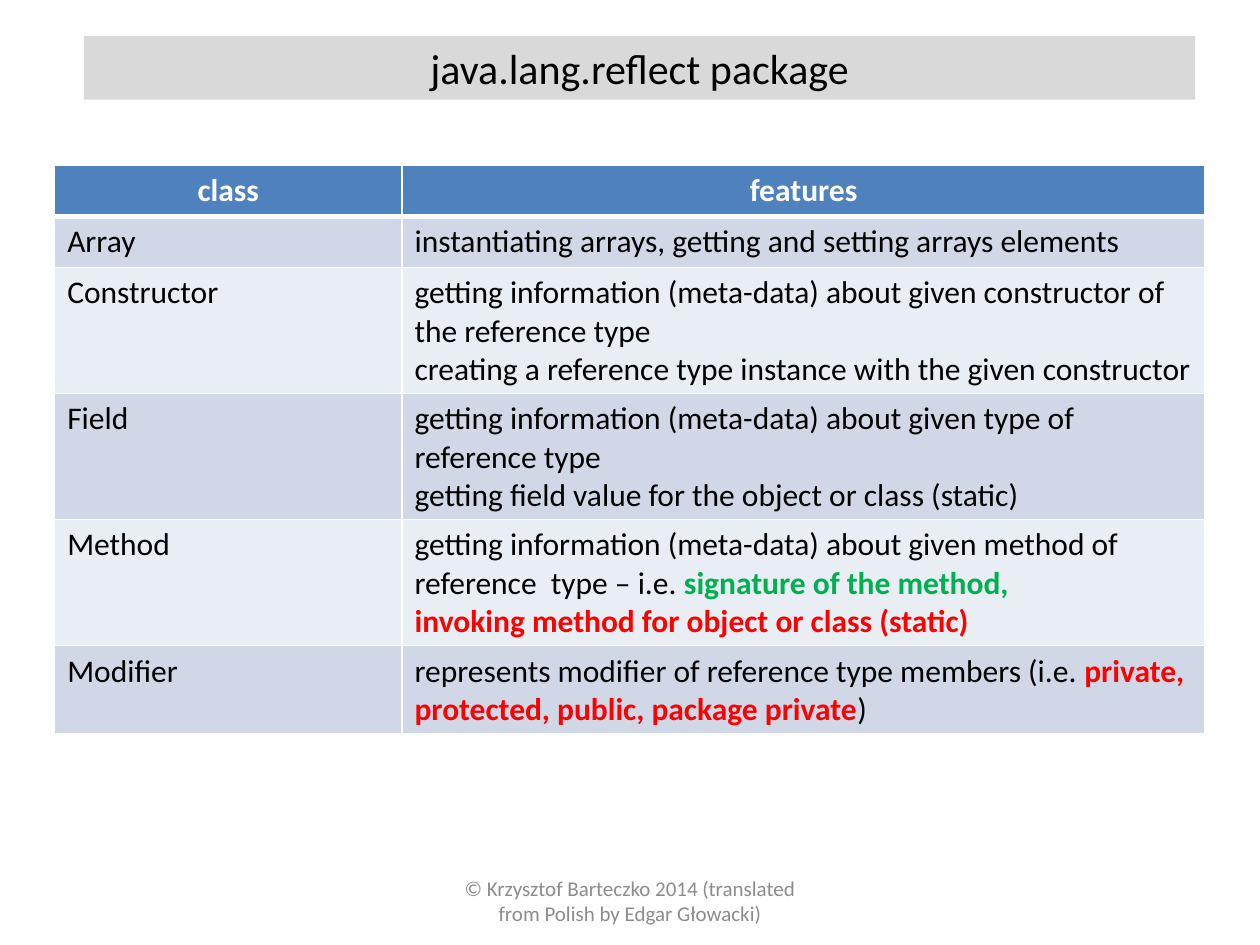
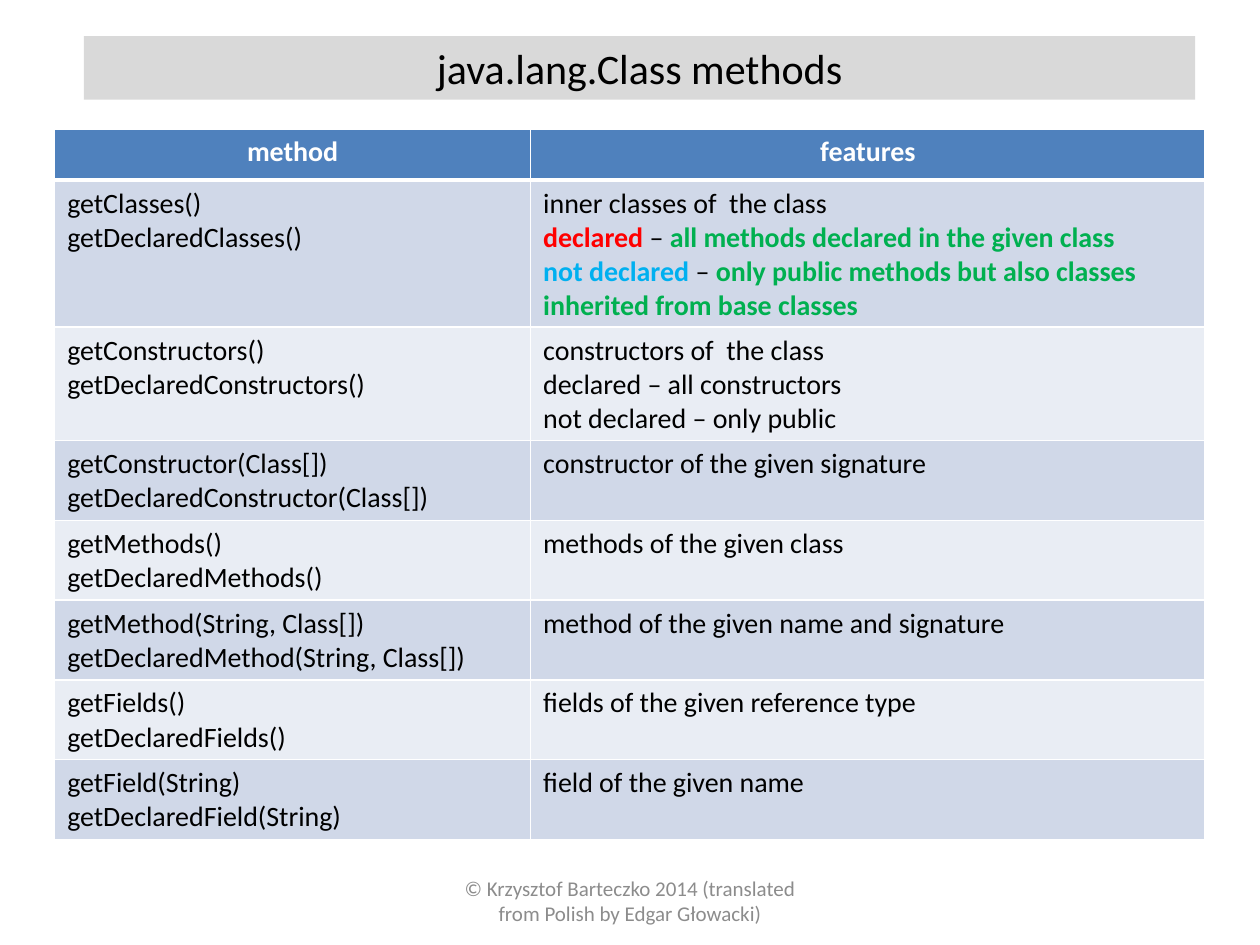
from pptx import Presentation
from pptx.util import Pt
from pptx.dml.color import RGBColor
from pptx.enum.shapes import MSO_SHAPE
from pptx.enum.text import MSO_ANCHOR, MSO_AUTO_SIZE, PP_ALIGN
from lxml.etree import SubElement

NS = "{http://schemas.openxmlformats.org/drawingml/2006/main}"
RED, GREEN, SKY = "FF0000", "00B050", "00B0F0"
BLACK, WHITE = "000000", "FFFFFF"


def color(code):
    return RGBColor.from_string(code)


class Deck:
    font = "Calibri"
    head = "4F81BD"
    bands = ("D0D8E8", "E9EDF4")
    note = "© Krzysztof Barteczko 2014 (translated from Polish by Edgar Głowacki)"

    def __init__(self):
        self.show = Presentation()
        self.show.slide_width, self.show.slide_height = Pt(720), Pt(540)

    def page(self, title):
        self.slide = self.show.slides.add_slide(self.show.slide_layouts[6])
        self.footer()
        self.title(title)

    def style(self, run, size, tint, bold=False):
        run.font.name, run.font.size = self.font, Pt(size)
        run.font.bold = bold
        run.font.color.rgb = color(tint)

    def line(self, para, text, size, tint, bold=False, center=True):
        para.text = text
        para.alignment = PP_ALIGN.CENTER if center else PP_ALIGN.LEFT
        for run in para.runs:
            self.style(run, size, tint, bold)

    def footer(self):
        box = self.slide.shapes.add_textbox(Pt(246), Pt(500.5), Pt(228), Pt(28.75))
        frame = box.text_frame
        frame.word_wrap = True
        frame.vertical_anchor = MSO_ANCHOR.MIDDLE
        self.line(frame.paragraphs[0], self.note, 12, "8C8C8C")

    def title(self, text):
        bar = self.slide.shapes.add_shape(
            MSO_SHAPE.RECTANGLE, Pt(48), Pt(20.6), Pt(635), Pt(36.35))
        bar.shadow.inherit = False
        bar.fill.solid()
        bar.fill.fore_color.rgb = color("D9D9D9")
        bar.line.fill.background()
        frame = bar.text_frame
        frame.word_wrap = True
        frame.auto_size = MSO_AUTO_SIZE.SHAPE_TO_FIT_TEXT
        frame.vertical_anchor = MSO_ANCHOR.TOP
        self.line(frame.paragraphs[0], text, 24, BLACK)

    def border(self, cell, row):
        props = cell._tc.get_or_add_tcPr()
        for side in "LRTB":
            thick = (row, side) in ((0, "B"), (1, "T"))
            edge = SubElement(props, f"{NS}ln{side}", w=str(Pt(3 if thick else 1)))
            fill = SubElement(edge, f"{NS}solidFill")
            SubElement(fill, f"{NS}srgbClr", val=WHITE)

    def label(self, cell, lines, size, top):
        frame = cell.text_frame
        for i, item in enumerate(lines):
            para = frame.add_paragraph() if i else frame.paragraphs[0]
            if isinstance(item, str):
                self.line(para, item, size, WHITE if top else BLACK, top, top)
                continue
            for text, tint in item:
                run = para.add_run()
                run.text = text
                self.style(run, size, tint, tint != BLACK)

    def table(self, y, tall, split, size, rows):
        wide = 657.5
        frame = self.slide.shapes.add_table(
            len(rows), 2, Pt(31.25), Pt(y), Pt(wide), Pt(tall))
        grid = frame.table
        for col, width in zip(grid.columns, (split, wide - split)):
            col.width = Pt(width)
        for i, row in enumerate(rows):
            grid.rows[i].height = Pt(29.2)
            for j, lines in enumerate(row):
                cell = grid.cell(i, j)
                self.border(cell, i)
                cell.fill.solid()
                shade = self.bands[(i - 1) % 2] if i else self.head
                cell.fill.fore_color.rgb = color(shade)
                self.label(cell, lines, size, i == 0)
        frame.height = Pt(tall)


def pair(name, args=""):
    return [f"get{name}({args})", f"getDeclared{name}({args})"]


deck = Deck()

deck.page("java.lang.reflect package")
about = "getting information (meta-data) about given "
deck.table(94.5, 346.5, 198.5, 18, [
    (["class"], ["features"]),
    (["Array"], ["instantiating arrays, getting and setting arrays elements"]),
    (["Constructor"], [
        about + "constructor of the reference type",
        "creating a reference type instance with the given constructor"]),
    (["Field"], [
        about + "type of reference type",
        "getting field value for the object or class (static)"]),
    (["Method"], [
        [(about + "method of reference  type – i.e. ", BLACK),
         ("signature of the method,", GREEN)],
        [("invoking method for object or class (static)", RED)]]),
    (["Modifier"], [
        [("represents modifier of reference type members (i.e. ", BLACK),
         ("private, protected, public, package private", RED),
         (")", BLACK)]]),
])

deck.page("java.lang.Class methods")
deck.table(73.7, 406, 272, 16, [
    (["method"], ["features"]),
    (pair("Classes"), [
        "inner classes of  the class",
        [("declared", RED), (" – ", BLACK),
         ("all methods declared in the given class", GREEN)],
        [("not declared", SKY), (" – ", BLACK),
         ("only public methods but also classes inherited from base classes",
          GREEN)]]),
    (pair("Constructors"), [
        "constructors of  the class",
        "declared – all constructors",
        "not declared – only public"]),
    (pair("Constructor", "Class[]"), ["constructor of the given signature"]),
    (pair("Methods"), ["methods of the given class"]),
    (pair("Method", "String, Class[]"),
     ["method of the given name and signature"]),
    (pair("Fields"), ["fields of the given reference type"]),
    (pair("Field", "String"), ["field of the given name"]),
])

deck.show.save("out.pptx")
